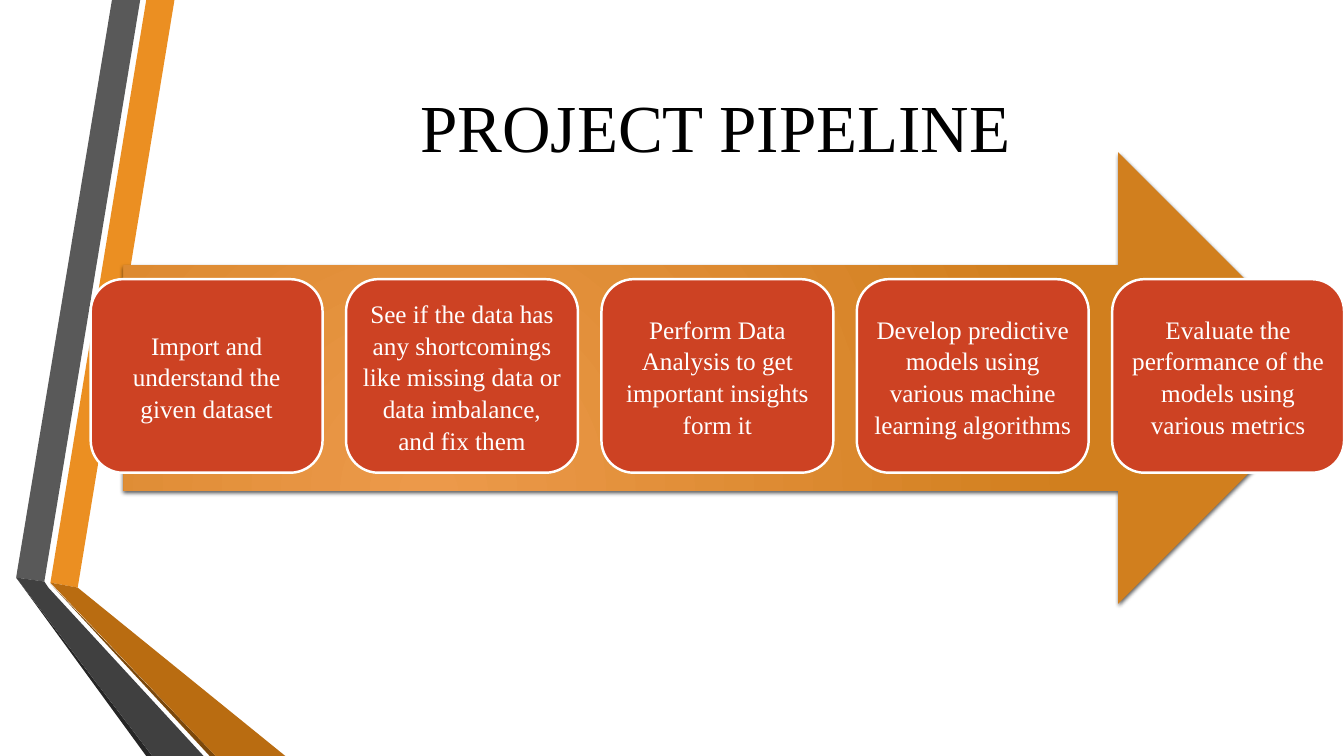
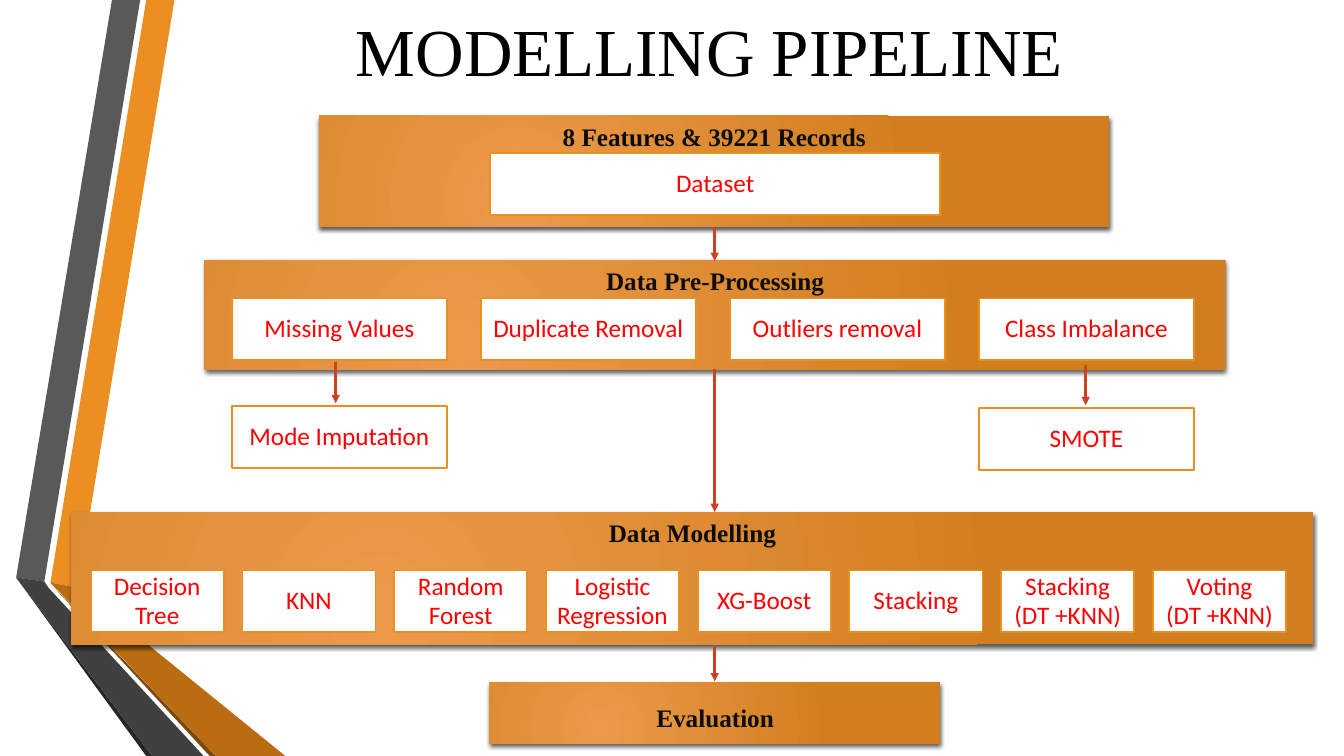
from lxml.etree import SubElement
from pptx import Presentation
from pptx.dml.color import RGBColor
from pptx.enum.shapes import MSO_CONNECTOR, MSO_SHAPE
from pptx.enum.text import MSO_ANCHOR, PP_ALIGN
from pptx.oxml.ns import qn
from pptx.util import Emu, Inches, Pt

HUES = {
    "black": "000000", "white": "FFFFFF", "ink": "0D0D0D", "red": "FF0000",
    "rust": "CD4223", "orange": "EB8F22", "glow": "EC994A", "amber": "D17F1E",
    "grey": "595959", "coal": "404040", "soot": "262626",
    "umber": "7B480B", "ochre": "B96C11",
}
SERIF, SANS = "Times New Roman", "Calibri"

# Text styles: font, paragraph and frame values, plus a colour name
TEXT = {
    "title": {
        "hue": "black", "font": {"name": SERIF, "size": Pt(48), "bold": False},
        "para": {"alignment": PP_ALIGN.CENTER},
        "frame": {"vertical_anchor": MSO_ANCHOR.MIDDLE, "word_wrap": True},
    },
    "card": {
        "hue": "white", "font": {"name": SERIF, "size": Pt(18)},
        "para": {"alignment": PP_ALIGN.CENTER, "line_spacing": 1.05},
        "frame": {"vertical_anchor": MSO_ANCHOR.MIDDLE, "word_wrap": True,
                  "margin_left": Inches(0.07), "margin_right": Inches(0.07)},
    },
    "head": {
        "hue": "ink", "font": {"name": SERIF, "size": Pt(18), "bold": True},
        "para": {"alignment": PP_ALIGN.CENTER},
        "frame": {"vertical_anchor": MSO_ANCHOR.TOP, "word_wrap": True},
    },
    "box": {
        "hue": "red", "font": {"name": SANS, "size": Pt(18)},
        "para": {"alignment": PP_ALIGN.CENTER, "line_spacing": 0.95},
        "frame": {"vertical_anchor": MSO_ANCHOR.MIDDLE, "word_wrap": True},
    },
}

# Side ribbon: colour and outline, in percent of the slide
RIBBON = [
    ("orange", [(3.75, 77.07), (5.78, 77.73), (12.98, 0), (10.88, 0)]),
    ("grey", [(10.43, 0), (8.33, 0), (1.2, 76.4), (3.3, 76.93)]),
    ("soot", [(1.2, 76.4), (10.88, 100), (11.33, 100)]),
    ("umber", [(3.75, 77.2), (15.6, 100), (16.05, 100)]),
    ("ochre", [(3.75, 77.07), (16.05, 100), (21.23, 100), (5.78, 77.73)]),
    ("coal", [(15.15, 100), (3.6, 77.73), (3.3, 76.93), (1.2, 76.4),
              (11.33, 100)]),
]


def rgb(hue):
    return RGBColor.from_string(HUES[hue])


def apply(item, values):
    for name, value in values.items():
        setattr(item, name, value)


class Deck:
    """Holds the style and the current slide; lengths are percent of it."""

    def __init__(self):
        self.prs = Presentation()
        apply(self.prs, {"slide_width": Inches(13.33),
                         "slide_height": Inches(7.5)})
        self.base = self.prs.slide_layouts[5]
        self.slide = None

    def x(self, share):
        return Emu(round(self.prs.slide_width * share / 100))

    def y(self, share):
        return Emu(round(self.prs.slide_height * share / 100))

    def area(self, left, top, width, height):
        return self.x(left), self.y(top), self.x(width), self.y(height)

    def page(self, title, area):
        first = self.slide is None
        self.slide = self.prs.slides.add_slide(self.base)
        if first:
            self.ribbon()
        shape = self.slide.shapes.title
        apply(shape, dict(zip(("left", "top", "width", "height"),
                              self.area(*area))))
        self.label(shape, title, "title")

    def ribbon(self):
        """Draw the side ribbon once and move it to the shared layout."""
        tree = self.base.shapes.element
        for place, (hue, points) in enumerate(RIBBON, 2):
            dots = [(self.x(x), self.y(y)) for x, y in points]
            pen = self.slide.shapes.build_freeform(*dots[0], scale=1.0)
            pen.add_line_segments(dots[1:], close=True)
            shape = pen.convert_to_shape()
            self.paint(shape, hue)
            tree.insert(place, shape.element)

    def paint(self, shape, hue, edge=None, width=1.25):
        shape.shadow.inherit = False
        shape.fill.solid()
        shape.fill.fore_color.rgb = rgb(hue)
        if edge:
            shape.line.color.rgb = rgb(edge)
            shape.line.width = Pt(width)
        else:
            shape.line.fill.background()

    def label(self, shape, text, kind):
        look = TEXT[kind]
        frame = shape.text_frame
        frame.text = text
        apply(frame, look["frame"])
        for para in frame.paragraphs:
            apply(para, look["para"])
            apply(para.font, look["font"])
            para.font.color.rgb = rgb(look["hue"])

    def panel(self, area, text="", form=MSO_SHAPE.RECTANGLE):
        """Add a shape with a round glow and a soft shadow."""
        shape = self.slide.shapes.add_shape(form, *self.area(*area))
        shape.line.fill.background()
        shape.fill.gradient()
        for stop, hue in zip(shape.fill.gradient_stops, ("glow", "amber")):
            stop.color.rgb = rgb(hue)
        props = shape.element.spPr
        grad = props.find(qn("a:gradFill"))
        grad.remove(grad.find(qn("a:lin")))
        ring = SubElement(grad, qn("a:path"), {"path": "circle"})
        SubElement(ring, qn("a:fillToRect"), {
            "l": "50000", "t": "100000", "r": "100000", "b": "50000"})
        shape.shadow.inherit = False
        shade = SubElement(props.find(qn("a:effectLst")), qn("a:outerShdw"), {
            "blurRad": str(Pt(3)), "dist": str(Pt(2)), "dir": "5400000",
            "rotWithShape": "0"})
        tint = SubElement(shade, qn("a:srgbClr"), {"val": HUES["black"]})
        SubElement(tint, qn("a:alpha"), {"val": "64000"})
        if text:
            self.label(shape, text, "head")
        return shape

    def card(self, area, text):
        shape = self.slide.shapes.add_shape(
            MSO_SHAPE.ROUNDED_RECTANGLE, *self.area(*area))
        self.paint(shape, "rust", "white", 1.75)
        self.label(shape, text, "card")

    def box(self, area, text):
        shape = self.slide.shapes.add_shape(
            MSO_SHAPE.RECTANGLE, *self.area(*area))
        self.paint(shape, "white", "orange")
        self.label(shape, text, "box")

    def arrow(self, x, top, end):
        """Add a downward arrow."""
        line = self.slide.shapes.add_connector(
            MSO_CONNECTOR.STRAIGHT,
            self.x(x), self.y(top), self.x(x), self.y(end))
        line.line.color.rgb = rgb("rust")
        line.line.width = Pt(1.75)
        props = line.element.spPr
        SubElement(props.find(qn("a:ln")), qn("a:tailEnd"),
                   {"type": "triangle"})
        SubElement(props, qn("a:effectLst"))


def project(deck):
    deck.page("PROJECT PIPELINE", (12.15, 10, 82.2, 13.33))
    deck.panel((9.2, 20.13, 90.8, 59.73), form=MSO_SHAPE.RIGHT_ARROW)
    steps = [
        "Import and understand the given dataset",
        "See if the data has any shortcomings like missing data "
        "or data imbalance, and fix them",
        "Perform Data Analysis to get important insights form it",
        "Develop predictive models using various machine learning algorithms",
        "Evaluate the performance of the models using various metrics",
    ]
    for col, step in enumerate(steps):
        deck.card((6.75 + 19 * col, 36.93, 17.25, 25.6), step)


def modelling(deck):
    deck.page("MODELLING PIPELINE", (11.7, 0, 82.2, 13.07))
    tall = 8.13

    deck.panel((23.75, 15.33, 58.8, 14.67), "8 Features & 39221 Records")
    deck.box((36.45, 20.27, 33.52, tall), "Dataset")

    deck.panel((15.22, 34.4, 75.98, 14.53), "Data Pre-Processing")
    left, step, wide = 17.25, 18.53, 16
    tasks = ["Missing Values", "Duplicate Removal", "Outliers removal",
             "Class Imbalance"]
    for col, task in enumerate(tasks):
        deck.box((left + step * col, 39.47, wide, tall), task)
    for col, top, fix in ((0, 53.73, "Mode Imputation"), (3, 54, "SMOTE")):
        deck.box((left + step * col, top, wide, tall), fix)

    deck.panel((5.32, 67.73, 92.4, 17.47), "Data Modelling")
    models = ["Decision Tree", "KNN", "Random Forest", "Logistic Regression",
              "XG-Boost", "Stacking", "Stacking\n(DT +KNN)",
              "Voting\n(DT +KNN)"]
    for col, model in enumerate(models):
        deck.box((6.75 + 11.29 * col, 75.47, 9.9, tall), model)

    last = deck.panel((36.45, 90.27, 33.52, tall), "Evaluation")
    last.text_frame.paragraphs[0].line_spacing = 1.5

    for x, top, end in ((53.18, 30, 34.53), (53.18, 48.8, 67.73),
                        (53.18, 85.6, 90.13), (24.98, 47.87, 53.33),
                        (80.78, 48.27, 53.6)):
        deck.arrow(x, top, end)


def main():
    deck = Deck()
    project(deck)
    modelling(deck)
    deck.prs.save("out.pptx")


if __name__ == "__main__":
    main()
